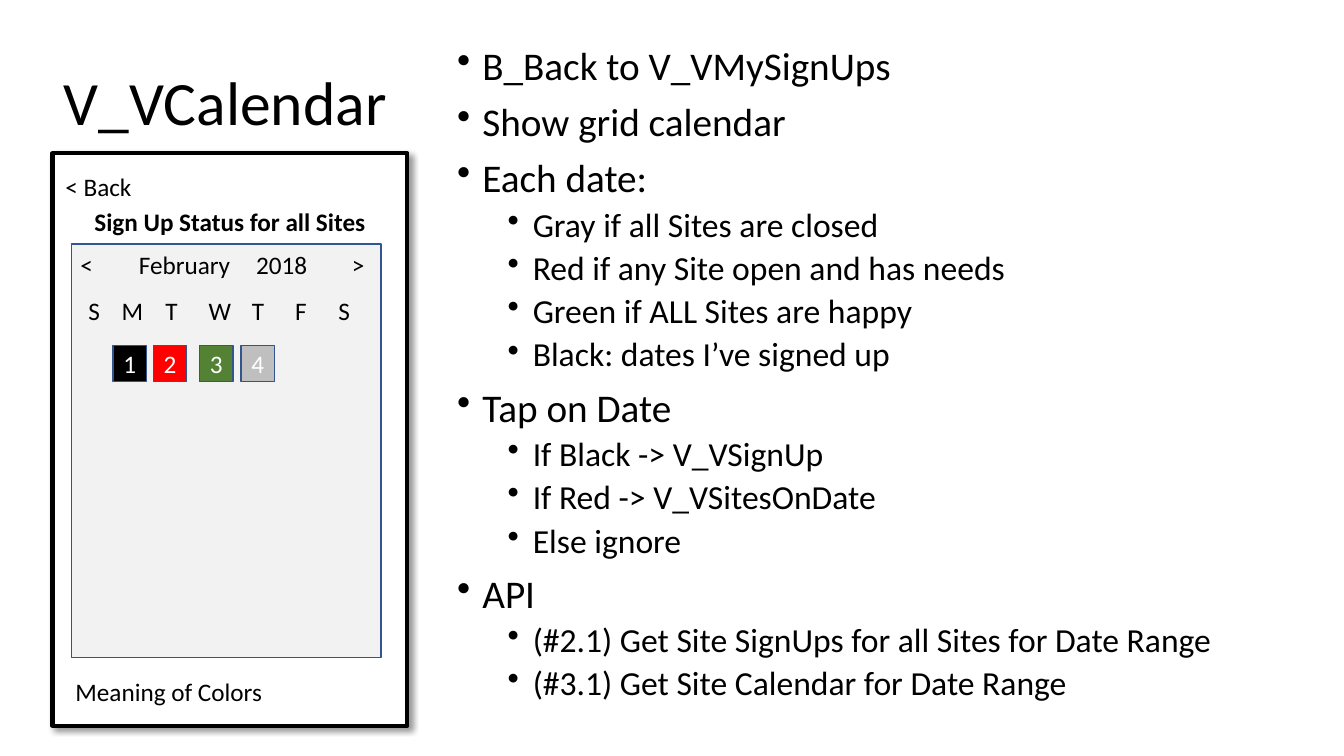
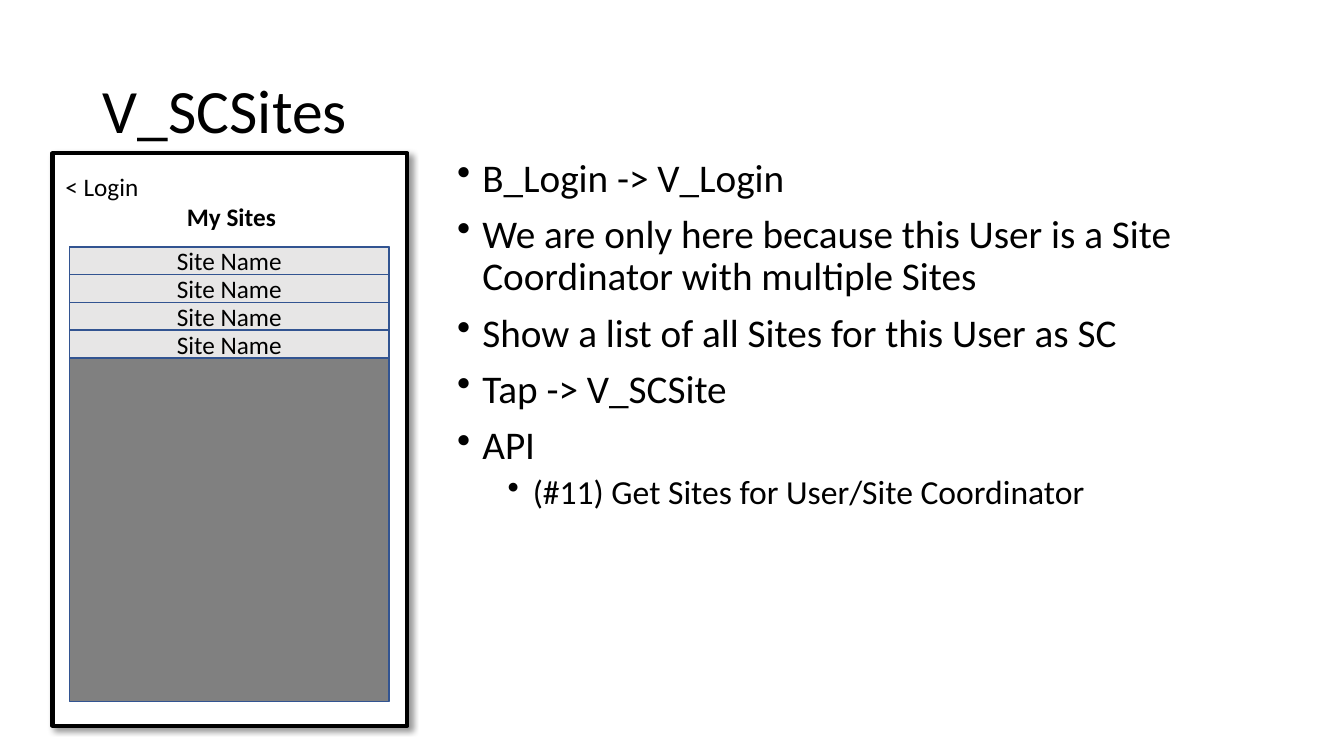
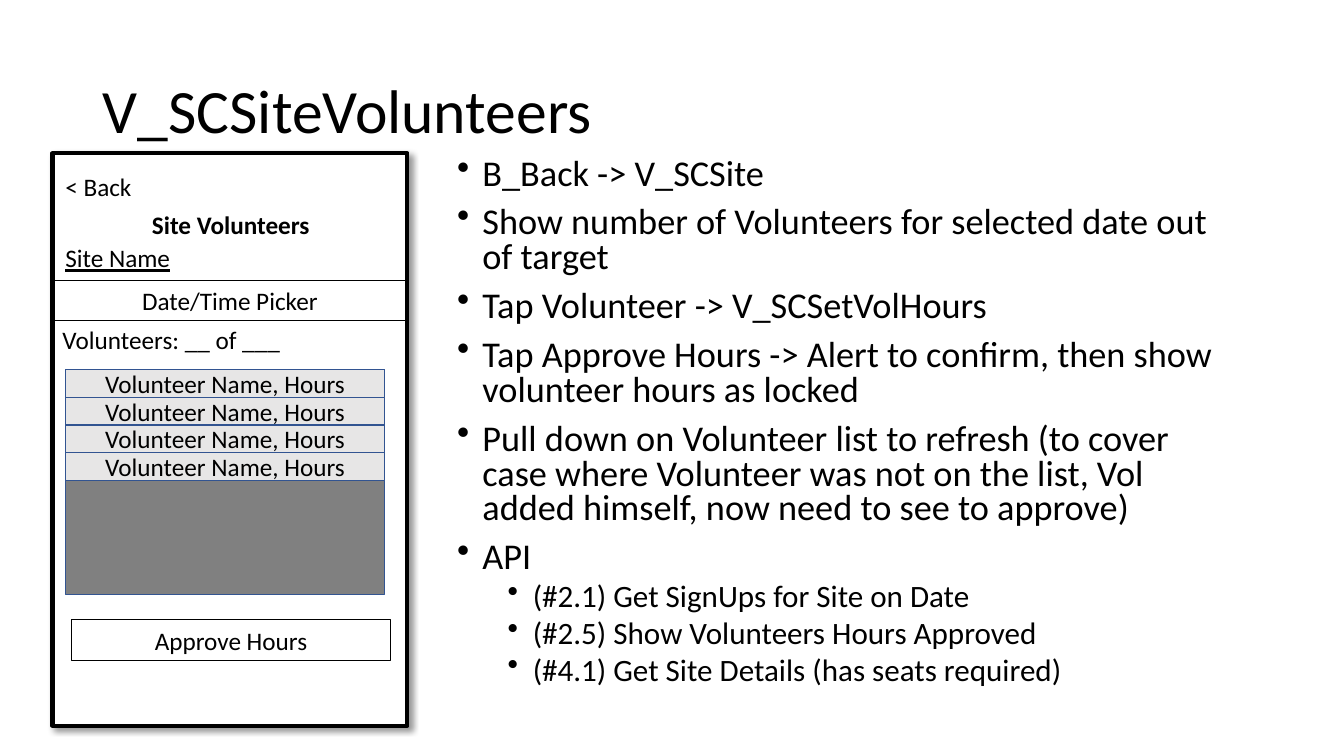
"""Build three app screen specification slides, each with a phone mock-up and a bullet list."""
from dataclasses import dataclass, field
from typing import Any, NamedTuple, Optional

from lxml.etree import SubElement
from pptx import Presentation
from pptx.dml.color import RGBColor
from pptx.enum.shapes import MSO_SHAPE
from pptx.enum.text import MSO_ANCHOR, MSO_AUTO_SIZE, PP_ALIGN
from pptx.oxml.ns import qn
from pptx.util import Inches, Pt

BLACK = RGBColor(0x00, 0x00, 0x00)
WHITE = RGBColor(0xFF, 0xFF, 0xFF)
RED = RGBColor(0xFF, 0x00, 0x00)
GREEN = RGBColor(0x54, 0x82, 0x35)
SILVER = RGBColor(0xBF, 0xBF, 0xBF)
PALE_GRAY = RGBColor(0xF2, 0xF2, 0xF2)
ROW_GRAY = RGBColor(0xE7, 0xE6, 0xE6)
LIST_GRAY = RGBColor(0x80, 0x80, 0x80)
OUTLINE_BLUE = RGBColor(0x32, 0x54, 0x91)

SLIDE_WIDTH = Inches(13.33)
SLIDE_HEIGHT = Inches(7.5)
COLUMNS = 160
ROWS = 90
LABEL_HEIGHT = 4.8
LIST_ROW_HEIGHT = 3.3

TITLE_FORMAT = {"name": "Calibri", "size": Pt(44), "bold": False}
LABEL_FORMAT = {"name": "Calibri", "size": Pt(18)}
HEADING_FORMAT = {**LABEL_FORMAT, "bold": True}
LINK_FORMAT = {**LABEL_FORMAT, "underline": True}
CENTRED = {"alignment": PP_ALIGN.CENTER}
LEFT = {"alignment": PP_ALIGN.LEFT}
GROWING = {"word_wrap": True, "auto_size": MSO_AUTO_SIZE.SHAPE_TO_FIT_TEXT}
UNWRAPPED = {**GROWING, "word_wrap": False}
MIDDLE = {"word_wrap": True, "vertical_anchor": MSO_ANCHOR.MIDDLE}


class Box(NamedTuple):
    left: float
    top: float
    width: float
    height: float = LABEL_HEIGHT

    def lengths(self) -> tuple[int, int, int, int]:
        column, row = SLIDE_WIDTH / COLUMNS, SLIDE_HEIGHT / ROWS
        return (round(self.left * column), round(self.top * row),
                round(self.width * column), round(self.height * row))


class Bullet(NamedTuple):
    text: str
    level: int = 0


class BulletStyle(NamedTuple):
    sizes: tuple[float, float] = (28, 24)
    line_spacing: float = 0.9


@dataclass
class Label:
    text: str
    box: Box
    font: dict[str, Any] = field(default_factory=lambda: LABEL_FORMAT)
    frame: dict[str, Any] = field(default_factory=lambda: UNWRAPPED)
    paragraph: dict[str, Any] = field(default_factory=lambda: LEFT)


@dataclass
class Panel:
    box: Box
    fill: Optional[RGBColor] = None
    line: RGBColor = OUTLINE_BLUE
    line_width: float = 1
    text: str = ""
    colour: RGBColor = BLACK
    frame: dict[str, Any] = field(default_factory=lambda: MIDDLE)


@dataclass
class Screen:
    title: str
    bullets: list[Bullet]
    items: list[Any]
    title_box: Box = Box(11.05, 4.8, 138, 17.4)
    bullet_box: Box = Box(53.25, 18.25, 95.75, 68.15)
    bullet_style: BulletStyle = BulletStyle()


PHONE = Panel(Box(6.25, 18.25, 42.25, 68.15), WHITE, BLACK, 3)


def apply_format(target: Any, values: dict[str, Any]) -> None:
    for name, value in values.items():
        setattr(target, name, value)


def write(para: Any, text: str, font: dict[str, Any], colour: RGBColor = BLACK) -> None:
    span = para.add_run()
    span.text = text
    apply_format(span.font, font)
    span.font.color.rgb = colour


def draw_label(page: Any, label: Label) -> None:
    frame = page.shapes.add_textbox(*label.box.lengths()).text_frame
    apply_format(frame, label.frame)
    apply_format(frame.paragraphs[0], label.paragraph)
    write(frame.paragraphs[0], label.text, label.font)


def draw_panel(page: Any, panel: Panel) -> Any:
    shape = page.shapes.add_shape(MSO_SHAPE.RECTANGLE, *panel.box.lengths())
    shape.shadow.inherit = False
    if panel.fill is None:
        shape.fill.background()
    else:
        shape.fill.solid()
        shape.fill.fore_color.rgb = panel.fill
    shape.line.color.rgb = panel.line
    shape.line.width = Pt(panel.line_width)
    if panel.text:
        para = shape.text_frame.paragraphs[0]
        apply_format(shape.text_frame, panel.frame)
        apply_format(para, CENTRED)
        write(para, panel.text, LABEL_FORMAT, panel.colour)
    return shape


def draw_phone(page: Any) -> None:
    effects = draw_panel(page, PHONE).element.spPr.find(qn("a:effectLst"))
    shadow = SubElement(effects, qn("a:outerShdw"), blurRad=str(Pt(4)), dist=str(Pt(3)),
                        dir="2700000", algn="tl", rotWithShape="0")
    colour = SubElement(shadow, qn("a:srgbClr"), val=str(BLACK))
    SubElement(colour, qn("a:alpha"), val="40000")


def draw_title(page: Any, text: str, box: Box) -> None:
    title = page.shapes.title
    apply_format(title, dict(zip(("left", "top", "width", "height"), box.lengths())))
    apply_format(title.text_frame, {**MIDDLE, "auto_size": MSO_AUTO_SIZE.NONE})
    para = title.text_frame.paragraphs[0]
    apply_format(para, {**LEFT, "line_spacing": 0.9})
    write(para, text, TITLE_FORMAT)


def draw_bullets(page: Any, screen: Screen) -> None:
    frame = page.shapes.add_textbox(*screen.bullet_box.lengths()).text_frame
    frame.word_wrap = True
    style = screen.bullet_style
    for index, bullet in enumerate(screen.bullets):
        para = frame.add_paragraph() if index else frame.paragraphs[0]
        properties = para._p.get_or_add_pPr()
        properties.set("marL", str(Inches(0.25 + 0.5 * bullet.level)))
        properties.set("indent", str(Inches(-0.25)))
        SubElement(properties, qn("a:buChar"), char="•")
        space = (10, 5)[bullet.level] if index else 0
        apply_format(para, {"level": bullet.level, "line_spacing": style.line_spacing,
                            "space_before": Pt(space)})
        write(para, bullet.text, {"name": "Calibri", "size": Pt(style.sizes[bullet.level])})


def draw_screen(deck: Any, screen: Screen) -> None:
    page = deck.slides.add_slide(deck.slide_layouts[5])
    draw_phone(page)
    draw_title(page, screen.title, screen.title_box)
    draw_bullets(page, screen)
    for item in screen.items:
        if isinstance(item, Label):
            draw_label(page, item)
        else:
            draw_panel(page, item)


def back_label(text: str, width: float) -> Label:
    return Label(text, Box(6.6, 19.8, width))


def heading(text: str, left: float, top: float, width: float) -> Label:
    return Label(text, Box(left, top, width), HEADING_FORMAT, GROWING, CENTRED)


def list_panels(box: Box, text: str, count: int = 4) -> list[Panel]:
    rows = [Panel(box._replace(top=box.top + index * LIST_ROW_HEIGHT, height=LIST_ROW_HEIGHT),
                  ROW_GRAY, text=text) for index in range(count)]
    return [Panel(box, LIST_GRAY), *rows]


def outlined(text: str, box: Box) -> Panel:
    return Panel(box, None, BLACK, 0.75, text, frame={**GROWING, "vertical_anchor": MSO_ANCHOR.TOP})


def calendar_items() -> list[Any]:
    dates = ((13.45, BLACK), (18.25, RED), (23.75, GREEN), (28.7, SILVER))
    weekdays = (("S", 9.35, 3.85), ("M", 13.3, 5.05), ("T", 18.5, 3.85), ("W", 23.65, 5.15),
                ("T", 28.8, 3.85), ("F", 33.95, 3.85), ("S", 39.1, 3.85))
    month_bar = (("<", 8.4, 3.95), ("February", 15.35, 13.45),
                 ("2018", 29.3, 8.5), (">", 40.7, 3.95))
    return [
        Panel(Box(8.5, 29.05, 36.85, 49.2), PALE_GRAY),
        *(Panel(Box(left, 41.15, 4, 4.3), fill, text=str(day), colour=WHITE)
          for day, (left, fill) in enumerate(dates, start=1)),
        *(Label(text, Box(left, top, width))
          for top, labels in ((34.55, weekdays), (29.05, month_bar))
          for text, left, width in labels),
    ]


SCREENS = [
    Screen(
        "V_VCalendar",
        [
            Bullet("B_Back to V_VMySignUps"),
            Bullet("Show grid calendar"),
            Bullet("Each date:"),
            Bullet("Gray if all Sites are closed", 1),
            Bullet("Red if any Site open and has needs", 1),
            Bullet("Green if ALL Sites are happy", 1),
            Bullet("Black: dates I’ve signed up", 1),
            Bullet("Tap on Date"),
            Bullet("If Black -> V_VSignUp", 1),
            Bullet("If Red -> V_VSitesOnDate", 1),
            Bullet("Else ignore", 1),
            Bullet("API"),
            Bullet("(#2.1) Get Site SignUps for all Sites for Date Range", 1),
            Bullet("(#3.1) Get Site Calendar for Date Range", 1),
        ],
        [
            back_label("< Back", 10.3),
            *calendar_items(),
            heading("Sign Up Status for all Sites", 6.25, 24, 42.25),
            Label("Meaning of Colors", Box(7.8, 79.9, 25)),
        ],
        title_box=Box(6.4, 3.85, 41.25, 17.4),
        bullet_box=Box(53.25, 4.9, 95.75, 81.35),
    ),
    Screen(
        "V_SCSites",
        [
            Bullet("B_Login -> V_Login"),
            Bullet("We are only here because this User is a Site Coordinator with multiple Sites"),
            Bullet("Show a list of all Sites for this User as SC"),
            Bullet("Tap -> V_SCSite"),
            Bullet("API"),
            Bullet("(#11) Get Sites for User/Site Coordinator", 1),
        ],
        [
            back_label("< Login", 11.3),
            *list_panels(Box(8.3, 29.4, 38, 54.1), "Site Name"),
            heading("My Sites", 6.6, 23.4, 41.9),
        ],
    ),
    Screen(
        "V_SCSiteVolunteers",
        [
            Bullet("B_Back -> V_SCSite"),
            Bullet("Show number of Volunteers for selected date out of target"),
            Bullet("Tap Volunteer -> V_SCSetVolHours"),
            Bullet("Tap Approve Hours -> Alert to confirm, then show volunteer hours as locked"),
            Bullet("Pull down on Volunteer list to refresh (to cover case where Volunteer was not "
                   "on the list, Vol added himself, now need to see to approve)"),
            Bullet("API"),
            Bullet("(#2.1) Get SignUps for Site on Date", 1),
            Bullet("(#2.5) Show Volunteers Hours Approved", 1),
            Bullet("(#4.1) Get Site Details (has seats required)", 1),
        ],
        [
            back_label("< Back", 10.3),
            *list_panels(Box(7.8, 44, 38, 26.75), "Volunteer Name, Hours"),
            Label("Volunteers: __ of ___", Box(6.25, 38.05, 41.9), frame=GROWING),
            outlined("Approve Hours", Box(8.5, 73.8, 38)),
            Label("Site Name", Box(6.6, 28.3, 15), LINK_FORMAT),
            outlined("Date/Time Picker", Box(6.25, 33.35, 42.25)),
            heading("Site Volunteers", 6.35, 24.35, 42.25),
        ],
        bullet_style=BulletStyle((25.9, 22.2), 0.8),
    ),
]


def main() -> None:
    deck = Presentation()
    apply_format(deck, {"slide_width": SLIDE_WIDTH, "slide_height": SLIDE_HEIGHT})
    for screen in SCREENS:
        draw_screen(deck, screen)
    deck.save("out.pptx")


if __name__ == "__main__":
    main()
